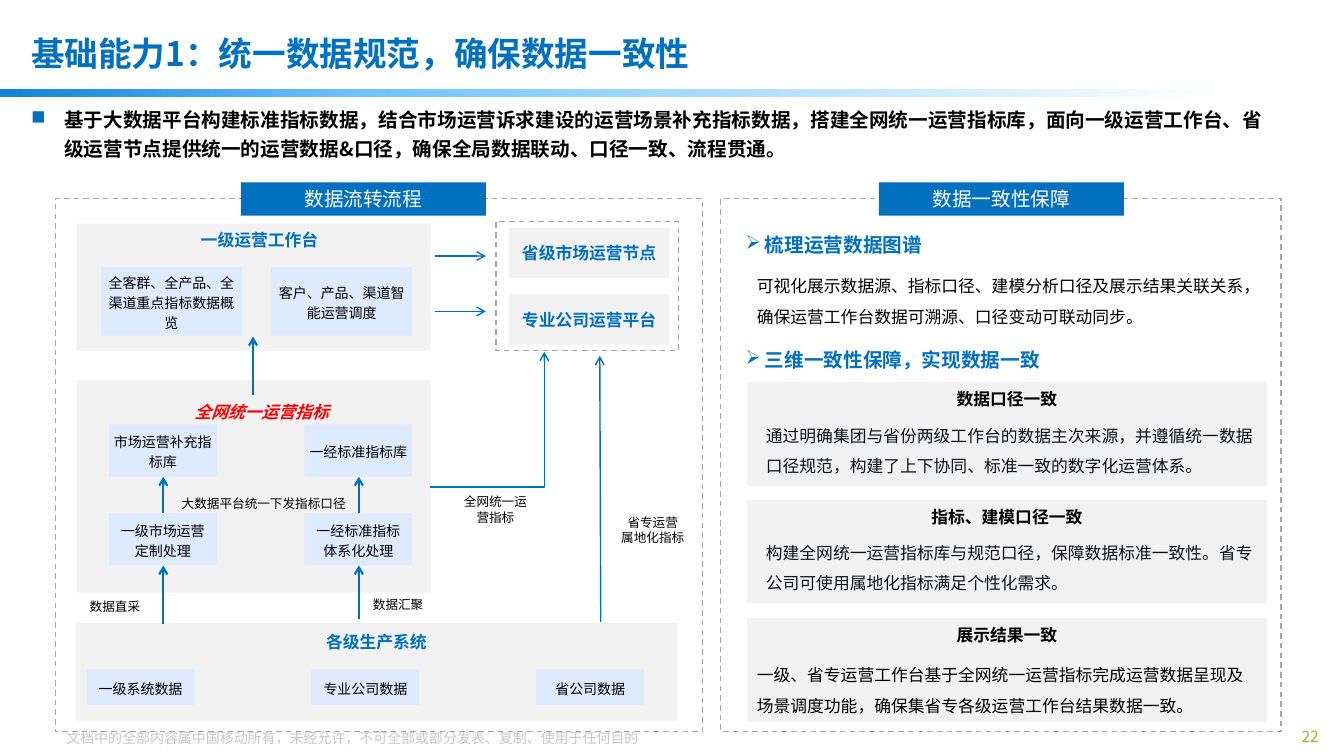
from dataclasses import dataclass

from lxml.etree import SubElement
from pptx import Presentation
from pptx.dml.color import RGBColor
from pptx.enum.dml import MSO_LINE
from pptx.enum.shapes import MSO_CONNECTOR, MSO_SHAPE
from pptx.enum.text import MSO_ANCHOR, PP_ALIGN
from pptx.oxml.ns import qn
from pptx.util import Inches, Pt

FONT = "Noto Sans CJK SC"
BLUE, BLACK, INK, WHITE = "0070BF", "000000", "0F1115", "FFFFFF"
PANEL, NODE, DASH = "F2F2F2", "DEEBFE", "A6A6A6"
UNIT = 0.1  # grid pitch in inches; all lengths are columns and rows
CENTER, LEFT, RIGHT = PP_ALIGN.CENTER, PP_ALIGN.LEFT, PP_ALIGN.RIGHT
MIDDLE, TOP = MSO_ANCHOR.MIDDLE, MSO_ANCHOR.TOP


@dataclass
class Box:
    col: float
    row: float
    cols: float
    rows: float

    def sub(self, col, row, cols, rows):
        """Box placed from this box's top left corner."""
        return Box(self.col + col, self.row + row, cols, rows)

    def emu(self):
        return [grid(v) for v in (self.col, self.row, self.cols, self.rows)]


def grid(value):
    return Inches(value * UNIT)


def rgb(color):
    return RGBColor.from_string(color)


def add_bullet(p, char, color, indent):
    pPr = p._p.get_or_add_pPr()
    pPr.set("marL", str(grid(indent)))
    pPr.set("indent", str(-grid(indent)))
    SubElement(SubElement(pPr, qn("a:buClr")), qn("a:srgbClr")).set("val", color)
    SubElement(pPr, qn("a:buChar")).set("char", char)


def write(s, text, size, color, bold=False, italic=False, align=CENTER, anchor=MIDDLE,
          spacing=None, inset=(1, 0.5), bullet=None):
    tf = s.text_frame
    tf.text = text
    tf.word_wrap = True
    tf.vertical_anchor = anchor
    tf.margin_left = tf.margin_right = grid(inset[0])
    tf.margin_top = tf.margin_bottom = grid(inset[1])
    for p in tf.paragraphs:
        if bullet:
            add_bullet(p, *bullet)
        p.alignment = align
        if spacing:
            p.line_spacing = spacing
        for r in p.runs:
            r.font.size, r.font.bold, r.font.italic = Pt(size), bold, italic
            r.font.color.rgb = rgb(color)
            r.font.name = FONT
            SubElement(r._r.get_or_add_rPr(), qn("a:ea")).set("typeface", FONT)


def label(slide, box, text, size, color, **style):
    write(slide.shapes.add_textbox(*box.emu()), text, size, color, **style)


def rect(slide, box, fill=None, dashed=False):
    s = slide.shapes.add_shape(MSO_SHAPE.RECTANGLE, *box.emu())
    s.shadow.inherit = False
    if fill:
        s.fill.solid()
        s.fill.fore_color.rgb = rgb(fill)
    else:
        s.fill.background()
    if dashed:
        s.line.color.rgb = rgb(DASH)
        s.line.width = Pt(1)
        s.line.dash_style = MSO_LINE.DASH
    else:
        s.line.fill.background()
    return s


def node(slide, box, text):
    write(rect(slide, box, NODE), text, 10, BLACK, spacing=1.2, inset=(0.4, 0))


def arrow(slide, box, start, end, width, bent=False):
    """Arrow between two points of the box; bent runs across, then up."""
    points = [grid(v) for x, y in (start, end) for v in (box.col + x, box.row + y)]
    kind = MSO_CONNECTOR.ELBOW if bent else MSO_CONNECTOR.STRAIGHT
    c = slide.shapes.add_connector(kind, *points)
    c.line.color.rgb = rgb(BLUE)
    c.line.width = Pt(width)
    spPr = c.element.spPr
    if bent:
        spPr.find(qn("a:prstGeom")).set("prst", "bentConnector2")
    SubElement(spPr.find(qn("a:ln")), qn("a:tailEnd")).set("type", "arrow")
    SubElement(spPr, qn("a:effectLst"))


def frame(slide, box, title, title_col):
    rect(slide, box, dashed=True)
    header = rect(slide, box.sub(title_col, -1.6, 24.3, 3.3), BLUE)
    write(header, title, 14, WHITE, inset=(0, 0))


def gradient_bar(slide, box):
    s = rect(slide, box, WHITE)
    s.fill.gradient()
    s.fill.gradient_angle = 0
    stops = s.element.spPr.find(qn("a:gradFill")).find(qn("a:gsLst"))
    for stop in list(stops):
        stops.remove(stop)
    for share, color in ((0, "1184CF"), (30, "6FC4FF"), (100, WHITE)):
        stop = SubElement(stops, qn("a:gs"), pos=str(share * 1000))
        SubElement(stop, qn("a:srgbClr"), val=color)


def page_frame(slide, box):
    label(slide, box.sub(5.6, 71.9, 117.1, 2.7),
          "文档中的全部内容属中国移动所有，未经允许，不可全部或部分发表、复制、使用于任何目的",
          10, "C6C7C6", align=LEFT)
    gradient_bar(slide, box.sub(0, 8.8, 120.9, 0.8))
    label(slide, box.sub(126.9, 71.7, 4.9, 2.7), "22", 11, "8CC121", align=RIGHT)
    label(slide, box.sub(2.1, 2, 104.1, 7), "基础能力1：统一数据规范，确保数据一致性",
          24, "0070C0", bold=True, align=LEFT, spacing=0.9)
    label(slide, box.sub(2.1, 9.8, 125, 8.3),
          "基于大数据平台构建标准指标数据，结合市场运营诉求建设的运营场景补充指标数据，"
          "搭建全网统一运营指标库，面向一级运营工作台、省级运营节点提供统一的运营数据&口径，"
          "确保全局数据联动、口径一致、流程贯通。",
          14, BLACK, bold=True, align=LEFT, anchor=TOP, spacing=1.2, bullet=("■", BLUE, 3.3))


def flow_panel(slide, box):
    for area in ((2.1, 2.5, 35.1, 12.6), (2.1, 18, 35.1, 21.1), (2, 42.1, 59.7, 9.7)):
        rect(slide, box.sub(*area), PANEL)
    rect(slide, box.sub(43.7, 2.3, 18.1, 12.8), dashed=True)
    for i, text in enumerate(("省级市场运营节点", "专业公司运营平台")):
        target = rect(slide, box.sub(45, 2.9 + 6.6 * i, 15.9, 5), PANEL)
        write(target, text, 12, BLUE, bold=True)
        row = 5.7 + 5.5 * i
        arrow(slide, box, (37.7, row), (42.7, row), 1)

    label(slide, box.sub(11.6, 2.4, 17.3, 3.3), "一级运营工作台", 12, BLUE, bold=True)
    label(slide, box.sub(12.7, 19.5, 15.5, 3.3), "全网统一运营指标", 12, "FF0000",
          bold=True, italic=True)
    label(slide, box.sub(25.7, 42.3, 12.3, 3.3), "各级生产系统", 12, BLUE, bold=True)

    for i, text in enumerate(("全客群、全产品、全渠道重点指标数据概览", "客户、产品、渠道智能运营调度")):
        node(slide, box.sub(4.5 + 16.9 * i, 6.8, 14, 6.8), text)
    chains = (("市场运营补充指标库", "一级市场运营\n定制处理", 42.2),
              ("一经标准指标库", "一经标准指标\n体系化处理", 41.7))
    for i, (library, process, source_row) in enumerate(chains):
        col = 5.3 + 19.4 * i
        middle = col + 5.4
        node(slide, box.sub(col, 22.4, 10.7, 5.2), library)
        node(slide, box.sub(col, 31.2, 10.7, 5.2), process)
        arrow(slide, box, (middle, 31.2), (middle, 27.6), 1.5)
        arrow(slide, box, (middle, source_row), (middle, 36.4), 1.5)
    for i, text in enumerate(("一级系统数据", "专业公司数据", "省公司数据")):
        node(slide, box.sub(3.1 + 22.3 * i, 46.7, 10.7, 3.5), text)

    arrow(slide, box, (19.6, 19.5), (19.6, 13.7), 1.5)
    arrow(slide, box, (54.1, 42), (54, 15.6), 1)
    arrow(slide, box, (37.2, 28.6), (48.5, 15.2), 1, bent=True)
    captions = (("数据直采", 2, 38.8, 7.8, 3.3), ("数据汇聚", 30, 38.6, 8, 3.3),
                ("大数据平台统一下发指标口径", 11.2, 28.6, 18.9, 3.3),
                ("全网统一运营指标", 39.1, 29.2, 9.1, 3.3),
                ("省专运营\n属地化指标", 54.3, 30.3, 9.9, 5.1))
    for text, *area in captions:
        label(slide, box.sub(*area), text, 9, BLACK)
    frame(slide, box, "数据流转流程", 18.4)


def assurance_panel(slide, box):
    frame(slide, box, "数据一致性保障", 15.7)
    headings = (("梳理运营数据图谱", 2.9, 3.4, 1), ("三维一致性保障，实现数据一致", 13.2, 4.5, 1.5))
    for text, row, rows, spacing in headings:
        label(slide, box.sub(1.5, row, 51.6, rows), text, 14, BLUE, bold=True, align=LEFT,
              anchor=TOP, spacing=spacing, bullet=("➢", BLUE, 1.9))
    body = dict(align=LEFT, anchor=TOP, spacing=1.5)
    label(slide, box.sub(2.6, 6.2, 51.6, 7.1),
          "可视化展示数据源、指标口径、建模分析口径及展示结果关联关系，"
          "确保运营工作台数据可溯源、口径变动可联动同步。", 12, BLACK, **body)
    cards = (
        ("数据口径一致", "通过明确集团与省份两级工作台的数据主次来源，并遵循统一数据口径规范，"
         "构建了上下协同、标准一致的数字化运营体系。", 0.9, 2.8, INK),
        ("指标、建模口径一致", "构建全网统一运营指标库与规范口径，保障数据标准一致性。"
         "省专公司可使用属地化指标满足个性化需求。", 0.9, 2.7, INK),
        ("展示结果一致", "一级、省专运营工作台基于全网统一运营指标完成运营数据呈现及场景调度功能，"
         "确保集省专各级运营工作台结果数据一致。", 0, 3.2, BLACK),
    )
    for i, (title, text, col, row, color) in enumerate(cards):
        card = box.sub(2.6, 18.2 + 11.7 * i, 51.6, 10.3)
        rect(slide, card, PANEL)
        label(slide, card.sub(0, 0.2, card.cols, 2.8), title, 12, BLACK, bold=True, anchor=TOP)
        label(slide, card.sub(col, row, card.cols - col, 7.1), text, 12, color, **body)


def main():
    prs = Presentation()
    page = Box(0, 0, 133.33, 75)
    prs.slide_width, prs.slide_height = grid(page.cols), grid(page.rows)
    slide = prs.slides.add_slide(prs.slide_layouts[6])
    page_frame(slide, page)
    flow_panel(slide, page.sub(5.5, 19.7, 64.2, 52.9))
    assurance_panel(slide, page.sub(71.5, 19.7, 55.6, 52.9))
    prs.save("out.pptx")


if __name__ == "__main__":
    main()
